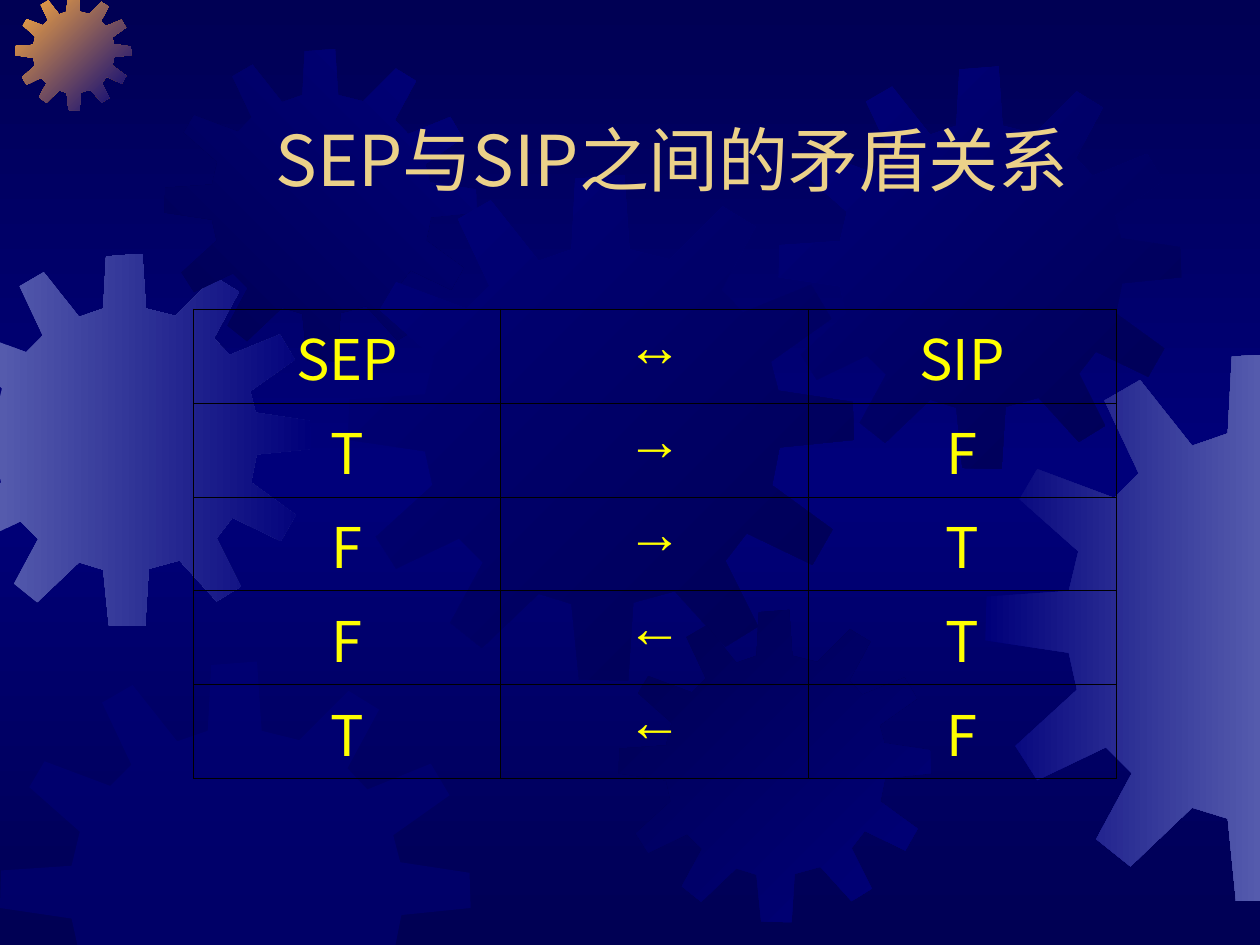
from lxml import etree
from copy import deepcopy
from pptx import Presentation
from pptx.dml.color import RGBColor
from pptx.enum.text import MSO_ANCHOR, MSO_AUTO_SIZE, PP_ALIGN
from pptx.oxml.ns import qn
from pptx.util import Pt

CENTER = PP_ALIGN.CENTER
BOTTOM = MSO_ANCHOR.BOTTOM
NO_FIT = MSO_AUTO_SIZE.NONE

WIDE, HIGH = 720, 540
HAN, LATIN = "Noto Sans CJK SC", "Arial"
HEX = {
    "dark": "000054", "navy": "00007A", "mist": "555BAD", "gold": "FCAB40",
    "title": "EBD189", "text": "FFFF00", "line": "000000",
}

# Outline of one gear, on a grid of 401 units
UNIT = 401
GEAR = [
    (255, 67), (223, 59), (219, 0), (180, 3), (177, 59), (151, 68),
    (113, 20), (87, 35), (112, 88), (94, 106), (38, 85), (25, 107),
    (68, 145), (61, 174), (1, 178), (0, 210), (61, 219), (67, 246),
    (22, 287), (38, 312), (88, 288), (107, 307), (81, 355), (106, 375),
    (151, 332), (177, 340), (183, 400), (222, 401), (226, 339), (259, 330),
    (299, 374), (325, 358), (299, 306), (316, 284), (368, 309), (384, 281),
    (336, 246), (342, 216), (401, 210), (400, 180), (341, 171), (335, 148),
    (383, 114), (367, 87), (313, 109), (296, 91), (323, 41), (297, 25),
]

# Left, top, size, first colour, last colour, clockwise angle
GEARS = [
    (-35, 145, 213, "mist", "navy", 0),
    (9, -3, 66, "gold", "navy", 45),
    (94, 28, 178.5, "dark", "navy", 315),
    (199, 100, 289, "navy", "dark", 45),
    (0, 378, 269, "navy", None, 0),
    (353.5, 348.5, 178.5, "dark", "navy", 45),
    (445, 38, 230, "navy", "dark", 45),
    (563, 201.5, 314, "navy", "mist", 0),
]

ROWS = [
    ("SEP", "↔", "SIP"),
    ("T", "→", "F"),
    ("F", "→", "T"),
    ("F", "←", "T"),
    ("T", "←", "F"),
]
TALL = [45, 40, 38, 42, 38]


def rgb(name):
    return RGBColor.from_string(HEX[name])


def cut(dots, axis, edge, sign):
    """Keep the part of an outline on one side of a slide edge."""
    kept = []
    for a, b in zip(dots, dots[1:] + dots[:1]):
        da, db = sign * (a[axis] - edge), sign * (b[axis] - edge)
        if da >= 0:
            kept.append(a)
        if da * db < 0:
            t = da / (da - db)
            kept.append(tuple(p + t * (q - p) for p, q in zip(a, b)))
    return kept


def blend(fill, first, last, angle):
    fill.gradient()
    fill.gradient_angle = (360 - angle) % 360
    for stop, name in zip(fill.gradient_stops, (first, last)):
        stop.color.rgb = rgb(name)


def add_gear(slide, left, top, size, first, last, angle):
    dots = [(left + x * size / UNIT, top + y * size / UNIT) for x, y in GEAR]
    for axis, edge, sign in ((0, 0, 1), (0, WIDE, -1), (1, 0, 1), (1, HIGH, -1)):
        dots = cut(dots, axis, edge, sign)
    dots = [(Pt(x), Pt(y)) for x, y in dots]
    pen = slide.shapes.build_freeform(*dots[0])
    pen.add_line_segments(dots[1:], close=True)
    gear = pen.convert_to_shape()
    gear.shadow.inherit = False
    gear.line.fill.background()
    if last:
        blend(gear.fill, first, last, angle)
    else:
        gear.fill.solid()
        gear.fill.fore_color.rgb = rgb(first)
        tint = gear.element.spPr.find(".//" + qn("a:srgbClr"))
        etree.SubElement(tint, qn("a:alpha")).set("val", "50000")


def paint(slide):
    """Dark at top and bottom, navy in the middle."""
    fill = slide.background.fill
    blend(fill, "dark", "navy", 90)
    stops = slide.element.find(".//" + qn("a:gsLst"))
    stops.append(deepcopy(stops[0]))
    for stop, pos in zip(stops, (0, 50000, 100000)):
        stop.set("pos", str(pos))


def style(para, size, face, color):
    para.alignment = CENTER
    for run in para.runs:
        font = run.font
        font.size, font.name, font.bold = Pt(size), face, False
        font.color.rgb = rgb(color)
        east = etree.SubElement(run.font._element, qn("a:ea"))
        east.set("typeface", face)


def add_title(slide, text):
    title = slide.shapes.title
    title.left, title.top = Pt(78), Pt(58.3)
    title.width, title.height = Pt(612), Pt(56.2)
    frame = title.text_frame
    frame.auto_size, frame.vertical_anchor = NO_FIT, BOTTOM
    frame.margin_bottom = 0
    frame.text = text
    style(frame.paragraphs[0], 40, HAN, "title")
    # Bring the title in front of the gears
    title.element.getparent().append(title.element)


def rule(cell):
    props = cell._tc.get_or_add_tcPr()
    for side in ("lnL", "lnR", "lnT", "lnB"):
        line = etree.SubElement(props, qn("a:" + side), w=str(Pt(0.45)))
        solid = etree.SubElement(line, qn("a:solidFill"))
        etree.SubElement(solid, qn("a:srgbClr"), val=HEX["line"])


def add_grid(slide):
    frame = slide.shapes.add_table(
        len(ROWS), 3, Pt(110.4), Pt(176.6), Pt(527.4), Pt(sum(TALL)))
    grid = frame.table
    grid.first_row = grid.horz_banding = False
    for col in grid.columns:
        col.width = Pt(175.8)
    for r, row in enumerate(ROWS):
        grid.rows[r].height = Pt(TALL[r])
        for c, text in enumerate(row):
            cell = grid.cell(r, c)
            cell.margin_left = cell.margin_right = Pt(5)
            cell.margin_top = cell.margin_bottom = Pt(3.6)
            rule(cell)
            cell.fill.background()
            cell.text_frame.text = text
            face = LATIN if c == 1 else HAN
            style(cell.text_frame.paragraphs[0], 32, face, "text")


def main():
    deck = Presentation()
    deck.slide_width, deck.slide_height = Pt(WIDE), Pt(HIGH)
    slide = deck.slides.add_slide(deck.slide_layouts[5])
    paint(slide)
    for gear in GEARS:
        add_gear(slide, *gear)
    add_title(slide, "SEP与SIP之间的矛盾关系")
    add_grid(slide)
    deck.save("out.pptx")


if __name__ == "__main__":
    main()
